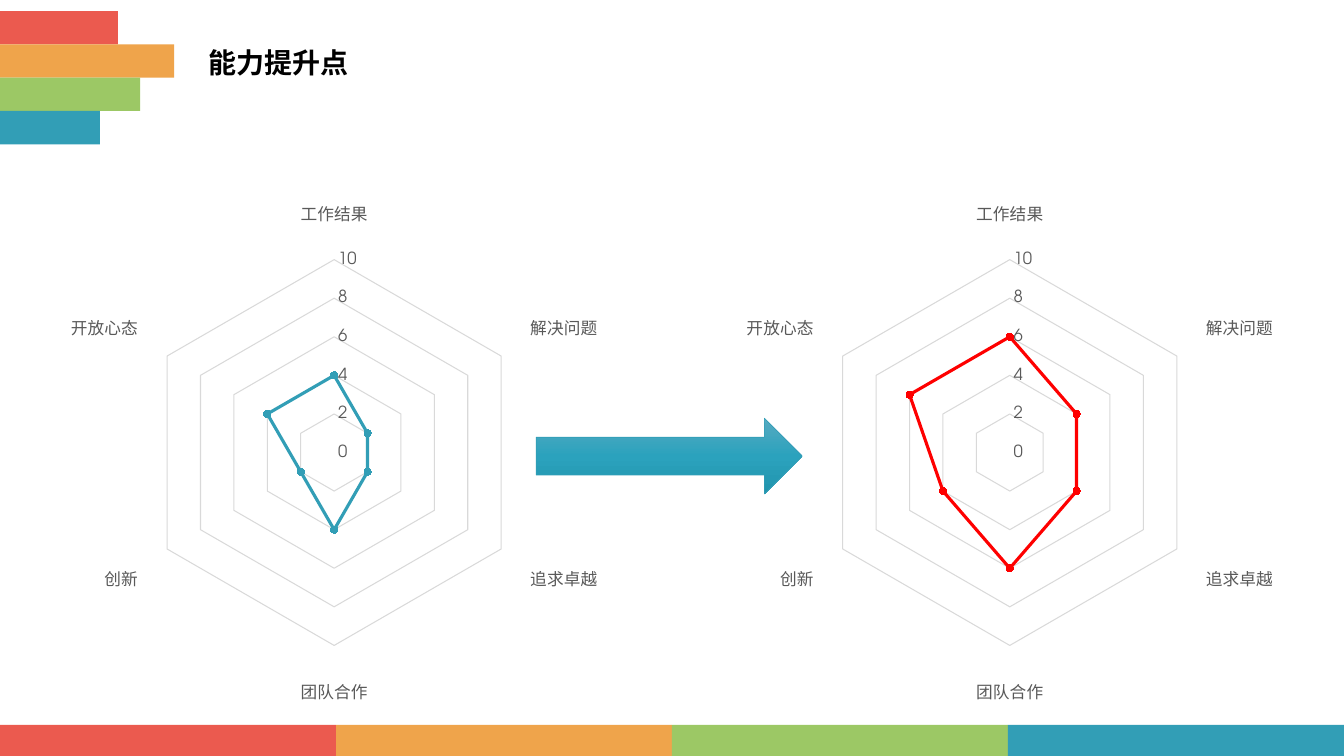
import copy

import pptx
import pptx.chart.data
import pptx.dml.color
import pptx.enum.chart
import pptx.enum.shapes
import pptx.enum.text
import pptx.oxml.ns
import pptx.util

Pt = pptx.util.Pt
SHAPE = pptx.enum.shapes.MSO_SHAPE
CHART = pptx.enum.chart

HUES = {
    "red": "EB5A4F", "gold": "EFA44B", "green": "9CC865", "teal": "329EB6",
    "black": "000000", "gray": "595959", "grid": "D9D9D9", "alert": "FE0000",
    "light": "56AAC1", "mid": "2BA2BD", "deep": "2194AD",
}
BANDS = {"red": 84.2, "gold": 124.5, "green": 100.2, "teal": 71.3}
SKILLS = ["工作结果", "解决问题", "追求卓越", "团队合作", "创新", "开放心态"]
WIDTH, HEIGHT = 960, 540


def tint(name):
    return pptx.dml.color.RGBColor.from_string(HUES[name])


class Deck:
    head = "Noto Sans CJK SC"
    body = "TeX Gyre Adventor"

    def __init__(self):
        self.file = pptx.Presentation()
        self.file.slide_width = Pt(WIDTH)
        self.file.slide_height = Pt(HEIGHT)
        self.slide = self.file.slides.add_slide(self.file.slide_layouts[5])

    def font(self, font, size, hue, face, bold=False):
        font.size, font.name, font.bold = Pt(size), face, bold
        font.color.rgb = tint(hue)

    def text(self, frame, words, size=20, hue="black", bold=False):
        """Write one left-aligned paragraph, centred from top to bottom."""
        frame.word_wrap = True
        frame.vertical_anchor = pptx.enum.text.MSO_ANCHOR.MIDDLE
        line = frame.paragraphs[0]
        line.alignment = pptx.enum.text.PP_ALIGN.LEFT
        line.line_spacing, line.space_before = 0.9, Pt(10)
        run = line.add_run()
        run.text = words
        self.font(run.font, size, hue, self.head, bold)
        east = run.font._element.makeelement(
            pptx.oxml.ns.qn("a:ea"), {"typeface": self.head})
        run.font._element.find(pptx.oxml.ns.qn("a:latin")).addnext(east)

    def title(self, words, x, y, w, h):
        box = self.slide.shapes.title
        box.left, box.top, box.width, box.height = map(Pt, (x, y, w, h))
        self.text(box.text_frame, words, bold=True)

    def shape(self, kind, x, y, w, h):
        item = self.slide.shapes.add_shape(kind, *map(Pt, (x, y, w, h)))
        item.shadow.inherit = False
        return item

    def band(self, hue, x, y, w, h):
        item = self.shape(SHAPE.RECTANGLE, x, y, w, h)
        item.fill.solid()
        item.fill.fore_color.rgb = tint(hue)
        item.line.fill.background()

    def arrow(self, hues, edge, x, y, w, h):
        """Draw a right arrow shaded from top to bottom through the hues."""
        item = self.shape(SHAPE.RIGHT_ARROW, x, y, w, h)
        item.fill.gradient()
        item.fill.gradient_angle = 270
        stops = item._element.spPr.find(".//" + pptx.oxml.ns.qn("a:gsLst"))
        stops.append(copy.deepcopy(stops[0]))
        for i, (stop, hue) in enumerate(zip(item.fill.gradient_stops, hues)):
            stop.position = i / (len(hues) - 1)
            stop.color.rgb = tint(hue)
        item.line.color.rgb = tint(edge)
        item.line.width = Pt(0.5)

    def radar(self, values, hue, x, y, w, h):
        data = pptx.chart.data.CategoryChartData()
        data.categories = SKILLS
        data.add_series("Series 1", values)
        chart = self.slide.shapes.add_chart(
            CHART.XL_CHART_TYPE.RADAR_MARKERS, *map(Pt, (x, y, w, h)), data).chart
        chart.has_legend = chart.has_title = False
        self.font(chart.font, 10, "black", self.body)
        for axis in (chart.category_axis, chart.value_axis):
            axis.major_tick_mark = axis.minor_tick_mark = CHART.XL_TICK_MARK.NONE
            self.font(axis.tick_labels.font, 11.9, "gray", self.body)
            axis.has_major_gridlines = True
            for part in (axis.format, axis.major_gridlines.format):
                part.line.color.rgb = tint("grid")
                part.line.width = Pt(0.75)
        scale = chart.value_axis
        scale.format.line.fill.background()
        scale.minimum_scale, scale.maximum_scale, scale.major_unit = 0, 10, 2
        plot = chart.plots[0]
        plot.vary_by_categories = False
        trace = plot.series[0]
        trace.smooth = False
        trace.format.line.color.rgb = tint(hue)
        trace.format.line.width = Pt(2.25)
        trace.marker.style = CHART.XL_MARKER_STYLE.CIRCLE
        trace.marker.size = 5
        trace.marker.format.fill.solid()
        trace.marker.format.fill.fore_color.rgb = tint(hue)
        trace.marker.format.line.fill.background()


def main():
    deck = Deck()
    step, foot = 23.8, 22.3
    part = WIDTH / len(BANDS)
    for i, (hue, width) in enumerate(BANDS.items()):
        deck.band(hue, 0, 7.9 + i * step, width, step)
        deck.band(hue, i * part, HEIGHT - foot, part, foot)
    deck.title("能力提升点", 141.8, 25.2, 351.4, 41.8)
    wide = 477.4
    deck.radar([4, 2, 2, 4, 2, 4], "teal", 0, 136, wide, 374.5)
    deck.radar([6, 4, 4, 6, 4, 6], "alert", WIDTH - wide, 136, wide, 374.5)
    deck.arrow(["light", "mid", "deep"], "teal", 383, 298.8, 190, 54)
    deck.file.save("out.pptx")


if __name__ == "__main__":
    main()
